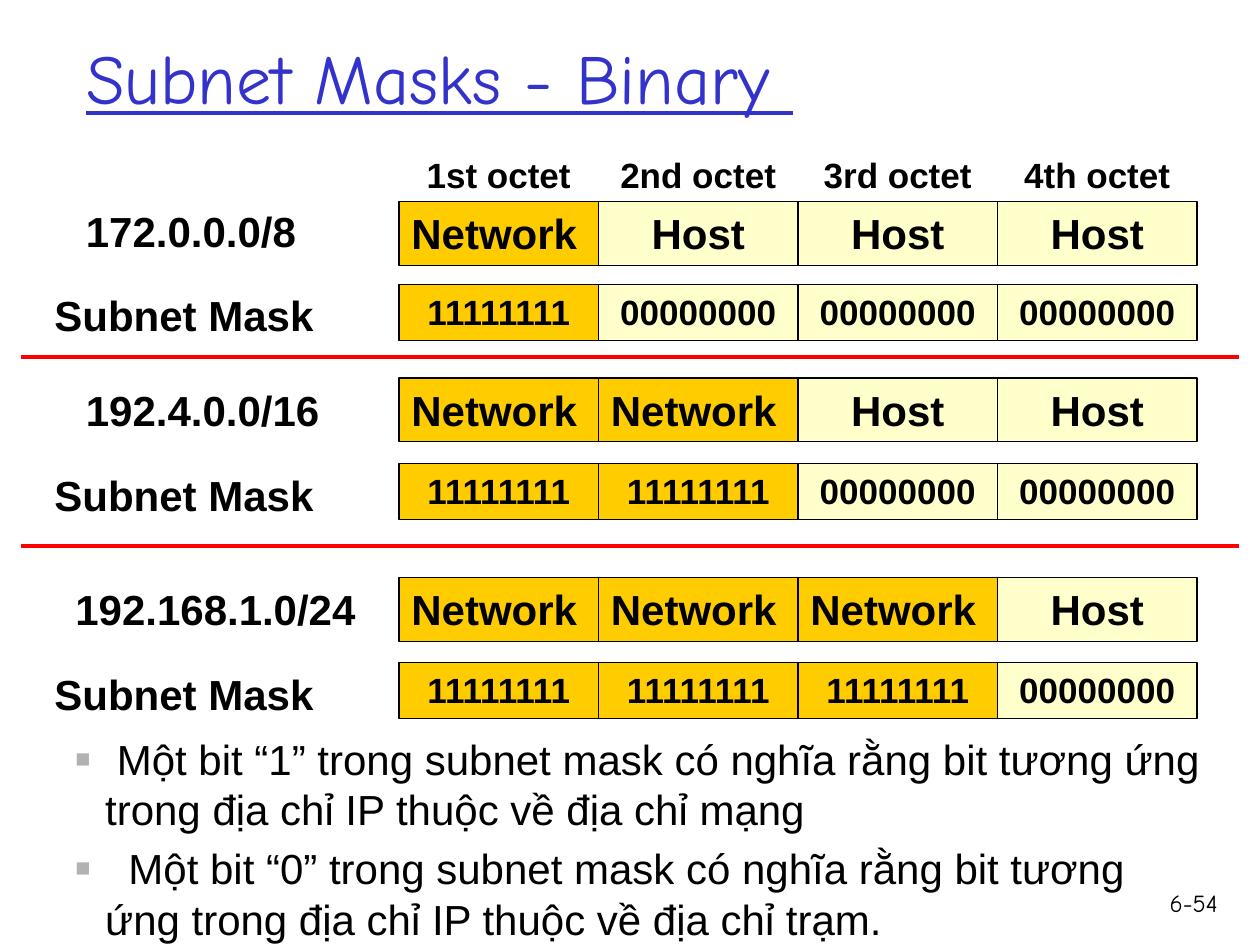
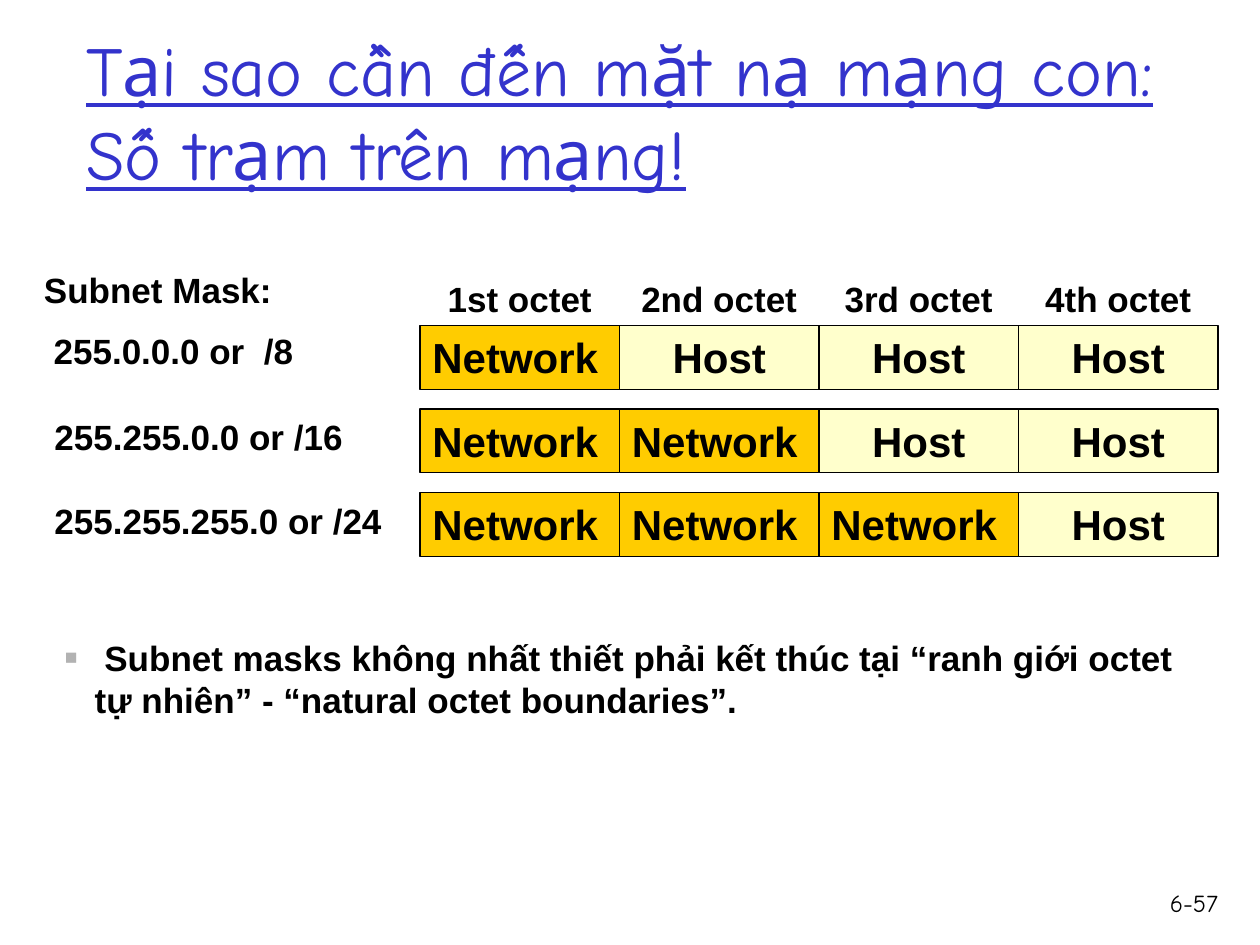
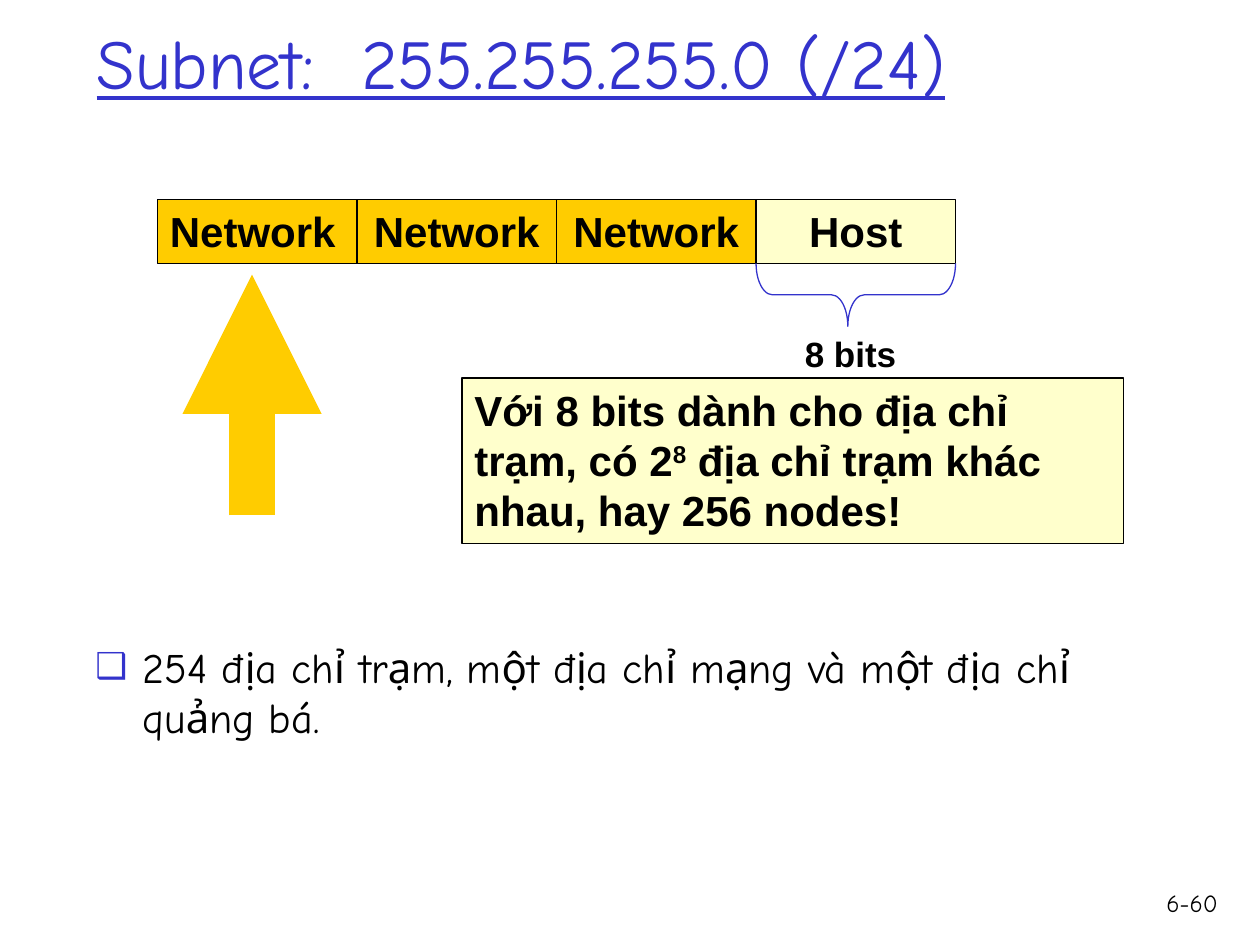
import lxml.etree
import pptx
import pptx.dml.color
import pptx.enum.shapes
import pptx.enum.text
import pptx.oxml.ns
import pptx.util

Pt = pptx.util.Pt
ALIGN = pptx.enum.text.PP_ALIGN
ANCHOR = pptx.enum.text.MSO_ANCHOR
SHAPE = pptx.enum.shapes.MSO_SHAPE

COLORS = {
    "ink": "000000",
    "title": "3333CC",
    "network": "FFCC00",
    "host": "FFFFCC",
    "divider": "FF0000",
    "bullet": "B2B2B2",
}
TITLE = {"name": "Comic Neue", "size": Pt(40), "underline": True, "bold": False}
NUMBER = {"name": "Comic Neue", "size": Pt(14)}
NOTE = {"name": "Comic Neue", "size": Pt(24)}
LARGE = {"name": "Arial", "size": Pt(24), "bold": True}
SMALL = {"name": "Arial", "size": Pt(20), "bold": True}
PLAIN = {"name": "Arial", "size": Pt(24)}

SQUARE = {"char": "■", "color": "bullet", "percent": 60, "indent": 17}
CHECKBOX = {"char": "❑", "color": "title", "percent": 85, "indent": 27}

OCTET_WIDTH = 114
ROW_HEIGHT = 36.5
MASK_HEIGHT = 31.75
HEADING_HEIGHT = 31
OCTETS = 4


def rgb(name):
    return pptx.dml.color.RGBColor.from_string(COLORS[name])


def add_child(parent, tag, **attributes):
    child = lxml.etree.SubElement(parent, pptx.oxml.ns.qn(tag))
    for key, value in attributes.items():
        child.set(key, str(value))
    return child


def add_span(para, text, style, color="ink"):
    span = para.add_run()
    span.text = text
    for key, value in style.items():
        setattr(span.font, key, value)
    span.font.color.rgb = rgb(color)
    return span


def set_bullet(para, bullet):
    properties = para._p.get_or_add_pPr()
    indent = Pt(bullet["indent"])
    properties.set("marL", str(indent))
    properties.set("indent", str(-indent))
    color = add_child(properties, "a:buClr")
    add_child(color, "a:srgbClr", val=COLORS[bullet["color"]])
    add_child(properties, "a:buSzPct", val=bullet["percent"] * 1000)
    add_child(properties, "a:buFont", typeface="Arial")
    add_child(properties, "a:buChar", char=bullet["char"])


def write(box, lines, style, align=ALIGN.LEFT, bullet=None, gap=0):
    """Fill a box with one paragraph per line, with gap points between them."""
    frame = box.text_frame
    frame.word_wrap = True
    frame.vertical_anchor = ANCHOR.TOP
    for index, line in enumerate(lines):
        para = frame.paragraphs[0] if index == 0 else frame.add_paragraph()
        if bullet:
            set_bullet(para, bullet)
        para.alignment = align
        para.space_before = Pt(gap if index else 0)
        add_span(para, line, style)


def add_text(page, area, lines, style, **options):
    box = page.shapes.add_textbox(*map(Pt, area))
    write(box, lines, style, **options)
    return box


def add_box(page, area, fill, text, style, align=ALIGN.LEFT):
    box = page.shapes.add_shape(SHAPE.RECTANGLE, *map(Pt, area))
    box.shadow.inherit = False
    box.fill.solid()
    box.fill.fore_color.rgb = rgb(fill)
    box.line.color.rgb = rgb("ink")
    box.line.width = Pt(0.75)
    write(box, [text], style, align=align)
    return box


def add_line(page, start, end, color, width):
    line = page.shapes.add_connector(
        pptx.enum.shapes.MSO_CONNECTOR.STRAIGHT, *map(Pt, start + end))
    line.line.color.rgb = rgb(color)
    line.line.width = Pt(width)
    add_child(line._element.spPr, "a:effectLst")
    return line


def add_octet_row(page, left, top, networks, left_aligned):
    """Draw the Network and Host cells; the first left_aligned are not centred."""
    for index in range(OCTETS):
        kind = "network" if index < networks else "host"
        align = ALIGN.LEFT if index < left_aligned else ALIGN.CENTER
        area = (left + index * OCTET_WIDTH, top, OCTET_WIDTH, ROW_HEIGHT)
        add_box(page, area, kind, kind.title(), LARGE, align)


def add_mask_row(page, left, top, networks):
    for index in range(OCTETS):
        kind, bit = ("network", "1") if index < networks else ("host", "0")
        area = (left + index * OCTET_WIDTH, top, OCTET_WIDTH, MASK_HEIGHT)
        add_box(page, area, kind, bit * 8, SMALL, ALIGN.CENTER)


def add_octet_headings(page, left, row_top):
    for index, ordinal in enumerate(("1st", "2nd", "3rd", "4th")):
        area = (left + index * OCTET_WIDTH, row_top - HEADING_HEIGHT,
                OCTET_WIDTH, HEADING_HEIGHT)
        add_text(page, area, [f"{ordinal} octet"], SMALL, align=ALIGN.CENTER)


def add_page(deck, title, title_area, number):
    page = deck.slides.add_slide(deck.slide_layouts[5])
    heading = page.shapes.title
    heading.left, heading.top, heading.width, heading.height = map(Pt, title_area)
    frame = heading.text_frame
    frame.auto_size = pptx.enum.text.MSO_AUTO_SIZE.NONE
    frame.word_wrap = True
    frame.vertical_anchor = ANCHOR.MIDDLE
    para = frame.paragraphs[0]
    para.alignment = ALIGN.LEFT
    for index, line in enumerate(title):
        if index:
            para.add_line_break()
        add_span(para, line, TITLE, "title")
    add_text(page, (654, 504, 49, 36), [number], NUMBER, align=ALIGN.RIGHT)
    return page


def build_binary_masks(deck):
    page = add_page(deck, ["Subnet Masks - Binary "], (42, -1.5, 612, 90), "6-54")
    left = 228
    networks = (
        ("172.0.0.0/8", 42, 114, 115.25, 162, 162.75),
        ("192.4.0.0/16", 42, 216, 216, 265, 265),
        ("192.168.1.0/24", 36, 330, 330, 378.75, 378.75),
    )
    add_octet_headings(page, left, networks[0][3])
    for count, network in enumerate(networks, 1):
        address, label_left, label_top, row_top, mask_label_top, mask_top = network
        add_text(page, (label_left, label_top, 180, 36), [address], LARGE)
        add_octet_row(page, left, row_top, count, count)
        add_text(page, (24, mask_label_top, 192, 36), ["Subnet Mask"], LARGE)
        add_mask_row(page, left, mask_top, count)
    for height in (204, 312):
        add_line(page, (12, height), (708, height), "divider", 2)
    add_text(page, (36, 415.5, 660, 105), [
        " Một bit “1” trong subnet mask có nghĩa rằng bit tương ứng trong "
        "địa chỉ IP thuộc về địa chỉ mạng",
        "  Một bit “0” trong subnet mask có nghĩa rằng bit tương ứng trong "
        "địa chỉ IP thuộc về địa chỉ trạm.",
    ], PLAIN, bullet=SQUARE, gap=5)


def build_host_counts(deck):
    page = add_page(
        deck, ["Tại sao cần đến mặt nạ mạng con:", "Số trạm trên mạng!"],
        (42, 18, 631.5, 90), "6-57")
    left, first_top, pitch = 240, 186, 47.75
    add_octet_headings(page, left, first_top)
    for count in range(1, OCTETS):
        add_octet_row(page, left, first_top + (count - 1) * pitch, count, count)
    add_text(page, (18, 150, 192, 67), ["Subnet Mask:", " 255.0.0.0 or  /8"],
             SMALL, gap=11)
    add_text(page, (24, 234, 192, 31), ["255.255.0.0 or /16"], SMALL)
    add_text(page, (24, 282, 204, 31), ["255.255.255.0 or /24"], SMALL)
    add_text(page, (30, 360, 660, 55.5), [
        " Subnet masks không nhất thiết phải kết thúc tại “ranh giới octet "
        "tự nhiên” - “natural octet boundaries”.",
    ], SMALL, bullet=SQUARE)


def add_host_brace(page):
    brace = page.shapes.add_shape(
        SHAPE.RIGHT_BRACE, *map(Pt, (471, 111.5, 36, OCTET_WIDTH)))
    brace.rotation = 90
    brace.adjustments[0] = 0.26
    brace.adjustments[1] = 0.54
    brace.shadow.inherit = False
    brace.fill.background()
    brace.line.color.rgb = rgb("title")
    brace.line.width = Pt(0.75)
    add_text(page, (438, 186.5, 96, 31), ["8 bits"], SMALL, align=ALIGN.CENTER)


def build_host_bits(deck):
    page = add_page(
        deck, ["Subnet:  255.255.255.0 (/24)"], (48, 0, 638.5, 70), "6-60")
    add_octet_row(page, 90, 114, networks=3, left_aligned=1)
    arrow = add_line(page, (144, 294.5), (144, 157), "network", 26.5)
    add_child(arrow.line._get_or_add_ln(), "a:tailEnd", type="triangle")
    add_host_brace(page)
    callout = add_box(page, (264, 216, 378, 94.5), "host",
                      "Với 8 bits dành cho địa chỉ trạm, có 2", LARGE)
    para = callout.text_frame.paragraphs[0]
    exponent = add_span(para, "8", LARGE)
    exponent.font._element.set("baseline", "30000")
    add_span(para, " địa chỉ trạm khác nhau, hay 256 nodes!", LARGE)
    add_text(page, (47.5, 363, 601, 129), [
        "254 địa chỉ trạm, một địa chỉ mạng và một địa chỉ quảng bá.",
    ], NOTE, bullet=CHECKBOX)


def main():
    deck = pptx.Presentation()
    deck.slide_width, deck.slide_height = Pt(720), Pt(540)
    build_binary_masks(deck)
    build_host_counts(deck)
    build_host_bits(deck)
    deck.save("out.pptx")


if __name__ == "__main__":
    main()
